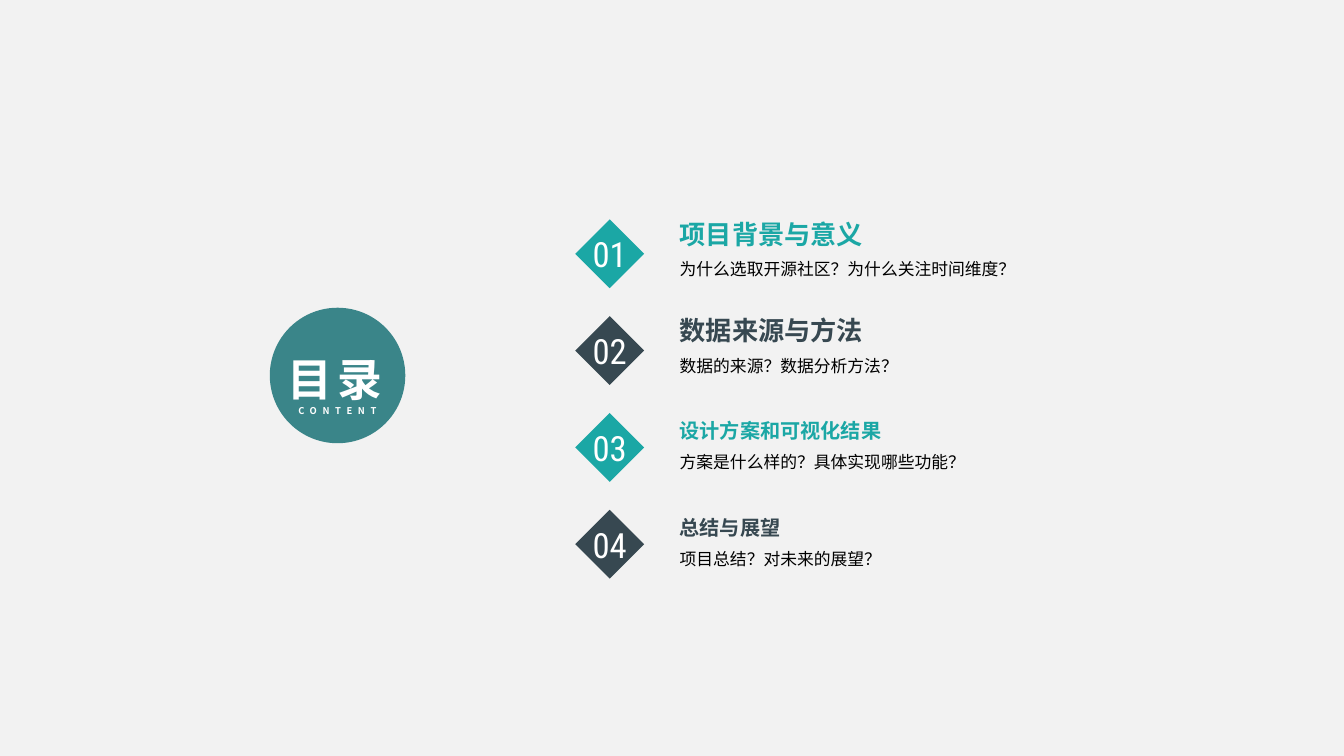
import pptx
import pptx.util
import pptx.dml.color
import pptx.enum.shapes
import pptx.enum.text
import pptx.oxml
import pptx.oxml.ns

Pt = pptx.util.Pt
RGBColor = pptx.dml.color.RGBColor
SHAPE = pptx.enum.shapes.MSO_SHAPE
ALIGN = pptx.enum.text.PP_ALIGN
ANCHOR = pptx.enum.text.MSO_ANCHOR

GREY = RGBColor(0xF2, 0xF2, 0xF2)
WHITE = RGBColor(0xFF, 0xFF, 0xFF)
BLACK = RGBColor(0, 0, 0)
DEEP_TEAL = RGBColor(0x3A, 0x85, 0x89)
TEAL = RGBColor(0x1B, 0xA7, 0xA5)
SLATE = RGBColor(0x37, 0x48, 0x51)
CJK = "Noto Sans CJK SC"

HEADING = ("目录", "CONTENT")
CHAPTERS = [
    ("项目背景与意义", 18.7, "为什么选取开源社区？为什么关注时间维度？", 1.2),
    ("数据来源与方法", 18.7, "数据的来源？数据分析方法？", 1.2),
    ("设计方案和可视化结果", 14.4, "方案是什么样的？具体实现哪些功能？", 1.1),
    ("总结与展望", 14.4, "项目总结？对未来的展望？", 1.2),
]

WIDTH, HEIGHT = 960, 540
CIRCLE = (192.7, 219.8, 96.8, 96.8)
DIAMOND_LEFT, DIAMOND_SIZE = 410.9, 49.2
FIRST_TOP, PITCH = 156.7, 69.15
TEXT_LEFT, TEXT_WIDTH, TEXT_INDENT = 447.9, 311.8, 37.6
TITLE_OFFSET, TITLE_HEIGHT, DETAIL_HEIGHT = 2.2, 19.2, 24.9

prs = pptx.Presentation()
prs.slide_width, prs.slide_height = Pt(WIDTH), Pt(HEIGHT)
slide = prs.slides.add_slide(prs.slide_layouts[6])
slide.background.fill.solid()
slide.background.fill.fore_color.rgb = GREY


def add_shape(kind, box, fill):
    sp = slide.shapes.add_shape(kind, *map(Pt, box))
    sp.shadow.inherit = False
    sp.fill.solid()
    sp.fill.fore_color.rgb = fill
    sp.line.fill.background()
    return sp


def set_frame(sp, anchor, insets, wrap=False):
    tf = sp.text_frame
    tf.word_wrap = wrap
    tf.vertical_anchor = anchor
    tf.margin_left, tf.margin_top, tf.margin_right, tf.margin_bottom = map(Pt, insets)
    return tf.paragraphs[0]


def add_run(p, text, size, font, color, bold=False, spacing=0):
    r = p.add_run()
    r.text = text
    r.font.size = Pt(size)
    r.font.name = font
    r.font.bold = bold
    r.font.color.rgb = color
    rPr = r.font._element if hasattr(r.font, "_element") else r._r.get_or_add_rPr()
    if spacing:
        rPr.set("spc", str(spacing * 100))
    ea = pptx.oxml.parse_xml(f'<a:ea {pptx.oxml.ns.nsdecls("a")} typeface="{CJK}"/>')
    rPr.find(pptx.oxml.ns.qn("a:latin")).addnext(ea)


def add_text(box, anchor, text, size, color, bold=False, wrap=False):
    sp = slide.shapes.add_textbox(*map(Pt, box))
    p = set_frame(sp, anchor, (TEXT_INDENT, 0, 0, 0), wrap)
    add_run(p, text, size, "Arial", color, bold)
    return p


circle = add_shape(SHAPE.OVAL, CIRCLE, DEEP_TEAL)
p = set_frame(circle, ANCHOR.BOTTOM, (9.6, 4.8, 9.6, 4.8))
p.alignment = ALIGN.CENTER
add_run(p, HEADING[0], 32, CJK, WHITE, True, 4)
p.add_line_break()
add_run(p, HEADING[1], 6.7, CJK, WHITE, True, 4)

for i, (title, title_size, detail, spacing) in enumerate(CHAPTERS):
    color = (TEAL, SLATE)[i % 2]
    top = FIRST_TOP + i * PITCH
    diamond = add_shape(SHAPE.DIAMOND, (DIAMOND_LEFT, top, DIAMOND_SIZE, DIAMOND_SIZE), color)
    p = set_frame(diamond, ANCHOR.MIDDLE, (0, 0, 0, 0))
    p.alignment = ALIGN.CENTER
    add_run(p, f"{i + 1:02}", 24.8, "Roboto Condensed", WHITE)

    title_top = top + TITLE_OFFSET
    add_text((TEXT_LEFT, title_top, TEXT_WIDTH, TITLE_HEIGHT),
             ANCHOR.BOTTOM, title, title_size, color, bold=True)
    p = add_text((TEXT_LEFT, title_top + TITLE_HEIGHT, TEXT_WIDTH, DETAIL_HEIGHT),
                 ANCHOR.MIDDLE, detail, 12, BLACK, wrap=True)
    p.line_spacing = spacing

prs.save("out.pptx")
